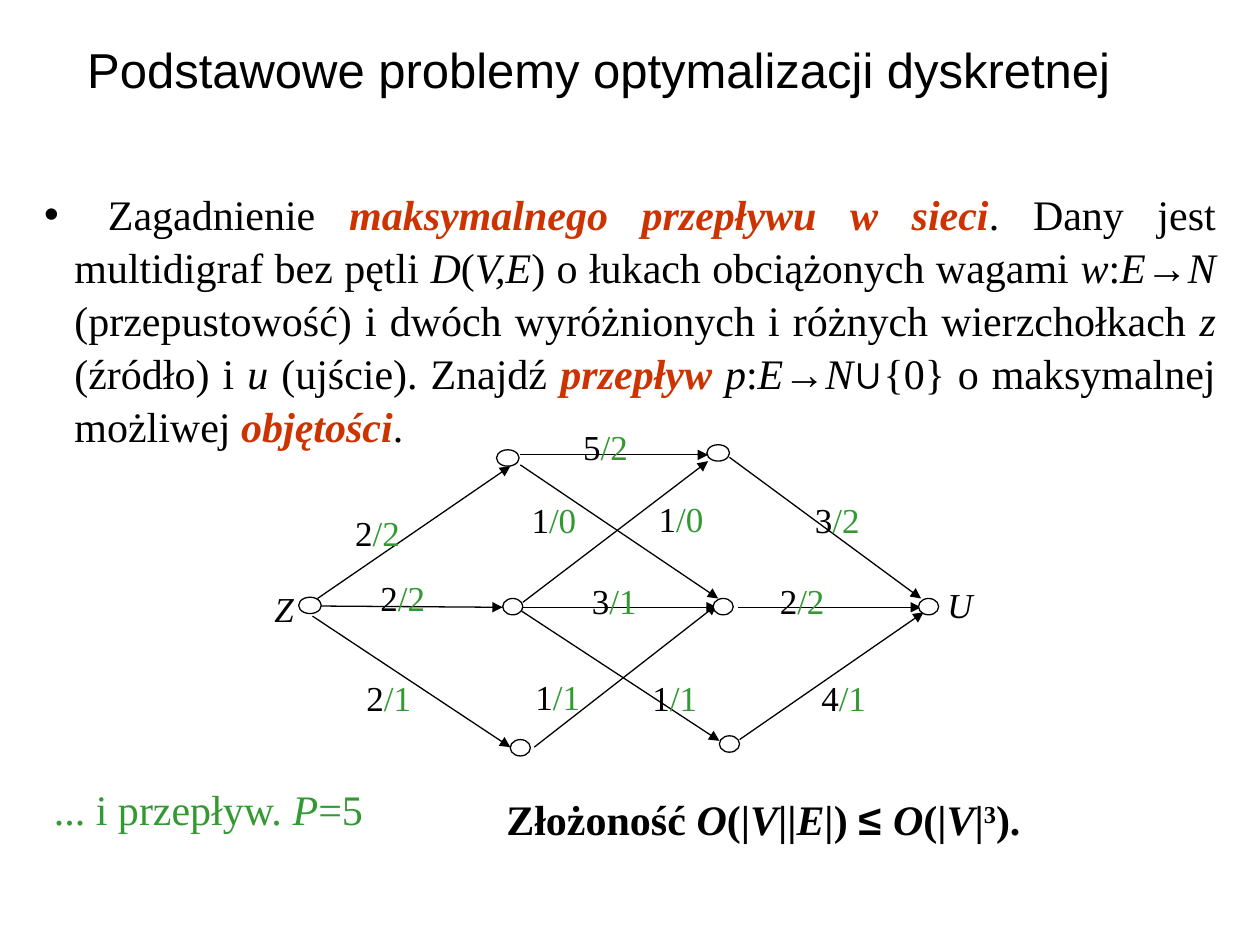
from lxml.etree import SubElement
from pptx import Presentation
from pptx.dml.color import RGBColor
from pptx.enum.shapes import MSO_CONNECTOR as Connector, MSO_SHAPE as Shape
from pptx.enum.text import MSO_ANCHOR as Anchor, MSO_AUTO_SIZE as AutoSize, PP_ALIGN as Align
from pptx.oxml.ns import qn
from pptx.util import Inches, Pt

COLORS = {"ink": "000000", "paper": "FFFFFF", "accent": "CC3300", "flow": "339933"}

TITLE = "Podstawowe problemy optymalizacji dyskretnej"
PROBLEM = [
    (" Zagadnienie ", ""), ("maksymalnego przepływu w sieci", "accent bold italic"),
    (". Dany jest multidigraf bez pętli ", ""), ("D", "italic"), ("(", ""), ("V,E", "italic"),
    (") o łukach obciążonych wagami ", ""), ("w", "italic"), (":", ""), ("E", "italic"),
    ("→", "symbol"), ("N", "italic"),
    (" (przepustowość) i dwóch wyróżnionych i różnych wierzchołkach ", ""), ("z", "italic"),
    (" (źródło) i ", ""), ("u", "italic"), (" (ujście). Znajdź ", ""),
    ("przepływ ", "accent bold italic"), ("p", "italic"), (":", ""), ("E", "italic"),
    ("→", "symbol"), ("N", "italic"), ("∪", "symbol"), ("{0} o maksymalnej możliwej ", ""),
    ("objętości", "accent bold italic"), (".", ""),
]
FLOW_VALUE = [("... i przepływ. ", "flow"), ("P", "flow italic"), ("=5", "flow")]
COMPLEXITY = [
    ("Złożoność ", "bold"), ("O", "bold italic"), ("(|", "bold"), ("V", "bold italic"),
    ("||", "bold"), ("E|", "bold italic"), (") ", "bold"), ("≤ ", "bold symbol"),
    ("O", "bold italic"), ("(|", "bold"), ("V", "bold italic"), ("|", "bold"),
    ("3", "bold superscript"), (").", "bold"),
]
ARCS = [
    (5.86, 4.82, 7.31, 4.82), (4.15, 4.82, 5.69, 4.82), (5.87, 5.87, 7.33, 4.86),
    (4.24, 5.93, 5.69, 4.8), (4.14, 4.85, 5.71, 5.88), (4.15, 4.78, 5.62, 3.66),
    (4.13, 3.69, 5.7, 4.75), (4.13, 3.61, 5.62, 3.61), (5.79, 3.63, 7.31, 4.75),
    (2.52, 4.75, 4.05, 3.7), (2.55, 4.81, 3.99, 4.82), (2.48, 4.89, 4.05, 5.93),
]
NODES = [
    (2.37, 4.74, 0.18), (5.61, 3.53, 0.18), (5.71, 5.84, 0.16), (5.66, 4.75, 0.16),
    (3.94, 3.57, 0.18), (4.05, 5.87, 0.16), (3.99, 4.75, 0.16), (7.29, 4.75, 0.16),
]
ARC_LABELS = [
    (2.72, 4.01, 0.78, 0.4, "2", "/2"), (4.53, 3.33, 0.74, 0.5, "5", "/2"),
    (6.37, 3.91, 0.67, 0.32, "3", "/2"), (4.12, 3.91, 0.68, 0.48, "1", "/0"),
    (5.13, 3.9, 0.66, 0.43, "1", "/0"), (2.92, 4.53, 0.85, 0.44, "2", "/2"),
    (4.6, 4.55, 0.67, 0.44, "3", "/1"), (6.09, 4.55, 0.79, 0.32, "2", "/2"),
    (2.81, 5.32, 0.72, 0.3, "2", "/1"), (5.08, 5.32, 0.72, 0.32, "1", "/1"),
    (4.15, 5.31, 0.82, 0.39, "1", "/1"), (6.42, 5.32, 0.87, 0.37, "4", "/1"),
]
TERMINALS = [(2.08, 4.61, 0.69, 0.41, "Z"), (7.42, 4.58, 0.57, 0.4, "U")]


class SlideBuilder:
    text_font = "Times New Roman"
    symbol_font = "Arial"
    text_size = 24
    label_size = 20
    line_width = Pt(0.75)

    def __init__(self, slide):
        self.slide = slide

    def color(self, name):
        return RGBColor.from_string(COLORS[name])

    def place(self, shape, left, top, width, height):
        shape.left, shape.top = Inches(left), Inches(top)
        shape.width, shape.height = Inches(width), Inches(height)

    def add_runs(self, paragraph, segments, size):
        for text, style in segments:
            words = style.split()
            run = paragraph.add_run()
            run.text = text
            font = run.font
            font.size = Pt(size)
            font.name = self.symbol_font if "symbol" in words else self.text_font
            font.bold = "bold" in words
            font.italic = "italic" in words
            font.color.rgb = self.color(next((word for word in words if word in COLORS), "ink"))
            if "superscript" in words:
                run._r.get_or_add_rPr().set("baseline", "30000")

    def title(self, text, box):
        shape = self.slide.shapes.title
        self.place(shape, *box)
        frame = shape.text_frame
        frame.auto_size = AutoSize.NONE
        frame.vertical_anchor = Anchor.MIDDLE
        paragraph = frame.paragraphs[0]
        paragraph.alignment = Align.CENTER
        self.add_runs(paragraph, [(text, "symbol")], 28)

    def body(self, segments, box):
        shape = self.slide.placeholders[1]
        self.place(shape, *box)
        frame = shape.text_frame
        frame.auto_size = AutoSize.NONE
        paragraph = frame.paragraphs[0]
        properties = paragraph._p.get_or_add_pPr()
        properties.set("marL", str(Inches(0.24)))
        properties.set("indent", str(Inches(-0.24)))
        SubElement(properties, qn("a:buChar")).set("char", "•")
        paragraph.alignment = Align.JUSTIFY
        paragraph.space_before = Pt(0)
        paragraph.line_spacing = 1.05
        self.add_runs(paragraph, segments, self.text_size)

    def text(self, segments, box, size, alignment=Align.LEFT):
        frame = self.slide.shapes.add_textbox(*map(Inches, box)).text_frame
        frame.word_wrap = True
        paragraph = frame.paragraphs[0]
        paragraph.alignment = alignment
        self.add_runs(paragraph, segments, size)

    def arc(self, *ends):
        connector = self.slide.shapes.add_connector(Connector.STRAIGHT, *map(Inches, ends))
        connector.line.color.rgb = self.color("ink")
        connector.line.width = self.line_width
        SubElement(connector.line._get_or_add_ln(), qn("a:tailEnd")).set("type", "triangle")
        SubElement(connector._element.spPr, qn("a:effectLst"))

    def node(self, left, top, width):
        shape = self.slide.shapes.add_shape(Shape.OVAL, *map(Inches, (left, top, width, 0.13)))
        shape.shadow.inherit = False
        shape.fill.solid()
        shape.fill.fore_color.rgb = self.color("paper")
        shape.line.color.rgb = self.color("ink")
        shape.line.width = self.line_width


def main():
    presentation = Presentation()
    presentation.slide_width, presentation.slide_height = Inches(10), Inches(7.5)
    builder = SlideBuilder(presentation.slides.add_slide(presentation.slide_layouts[1]))

    builder.title(TITLE, (-0.25, -0.08, 10, 1.25))
    builder.body(PROBLEM, (0.25, 1.43, 9.5, 2.1))
    for arc in ARCS:
        builder.arc(*arc)
    for node in NODES:
        builder.node(*node)
    for *box, capacity, flow in ARC_LABELS:
        builder.text([(capacity, ""), (flow, "flow")], box, builder.label_size)
    for *box, name in TERMINALS:
        builder.text([(name, "italic")], box, builder.label_size)
    builder.text(FLOW_VALUE, (0.33, 6.17, 3.17, 0.5), builder.text_size, Align.JUSTIFY)
    builder.text(COMPLEXITY, (3.92, 6.25, 6.08, 0.5), builder.text_size, Align.JUSTIFY)

    presentation.save("out.pptx")


if __name__ == "__main__":
    main()
